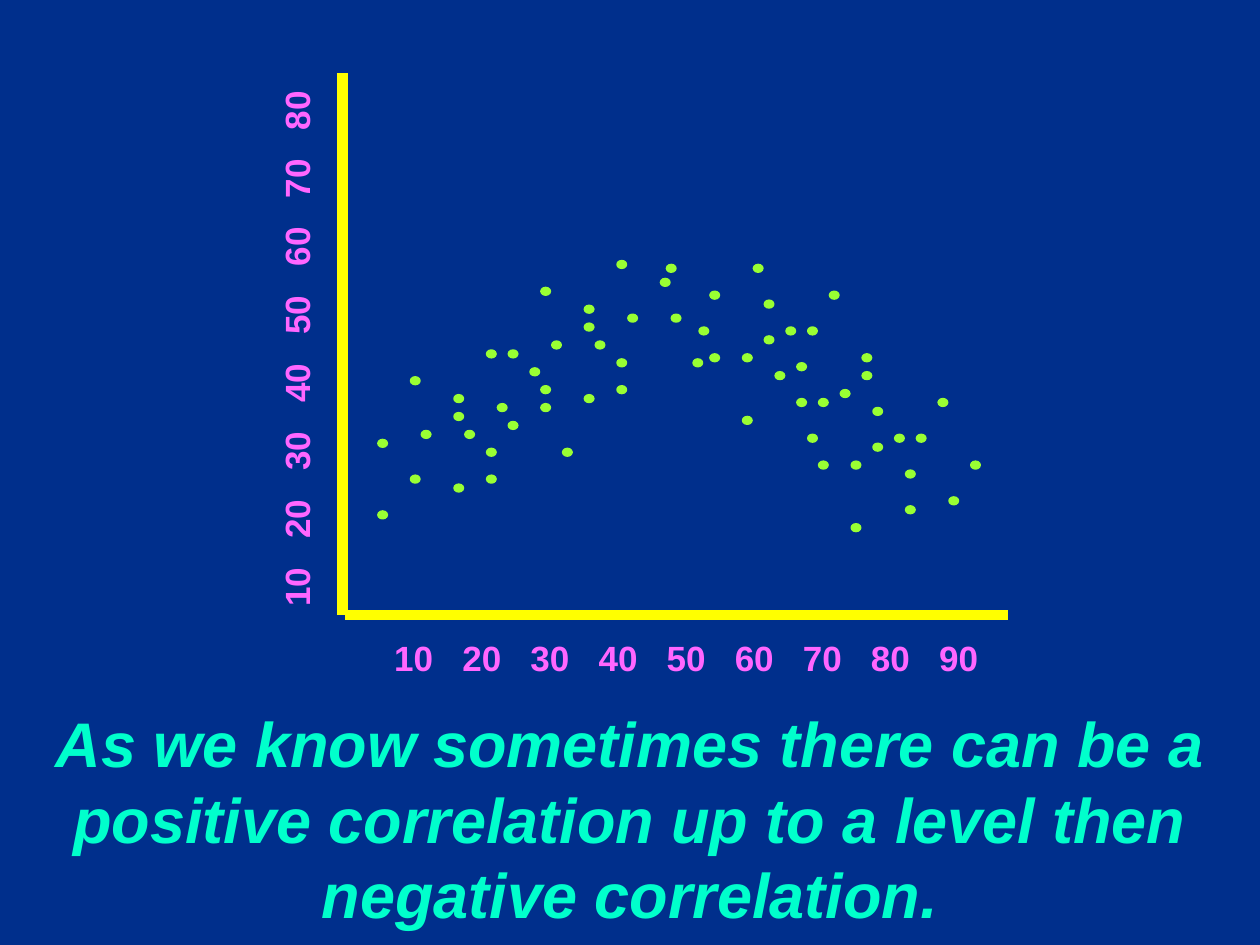
from dataclasses import dataclass

from lxml import etree
from pptx import Presentation
from pptx.dml.color import RGBColor
from pptx.enum.shapes import MSO_CONNECTOR, MSO_SHAPE
from pptx.enum.text import MSO_ANCHOR, MSO_AUTO_SIZE, PP_ALIGN
from pptx.oxml.ns import qn
from pptx.util import Pt

STRAIGHT = MSO_CONNECTOR.STRAIGHT
OVAL = MSO_SHAPE.OVAL
TOP = MSO_ANCHOR.TOP
NO_AUTOFIT = MSO_AUTO_SIZE.NONE
LEFT, CENTER = PP_ALIGN.LEFT, PP_ALIGN.CENTER
TITLE_ONLY = 5


@dataclass(frozen=True)
class Theme:
    font: str = "Arial"
    background: str = "002F8C"
    caption: str = "00FFCC"
    scale: str = "FF66FF"
    axis: str = "FFFF00"
    dot: str = "99FF33"
    caption_size: float = 36
    caption_leading: float = 43.2
    scale_size: float = 20
    axis_width: float = 6


@dataclass(frozen=True)
class Axis:
    start: tuple[float, float]
    end: tuple[float, float]


@dataclass(frozen=True)
class Scale:
    last: int
    box: tuple[float, float, float, float]
    rotation: float = 0


@dataclass(frozen=True)
class Cluster:
    """Dots as (column, row) steps from the cluster's top-left corner."""
    left: float
    top: float
    dots: tuple[tuple[int, int], ...]


THEME = Theme()
LABEL_PITCH = 38.92
COLUMN, ROW = 6.21, 5.11
DOT_WIDTH, DOT_HEIGHT = 5.3, 4.3

CAPTION = ("As we know sometimes there can be a positive correlation "
           "up to a level then negative correlation.")
AXES = (
    Axis((197.3, 351.4), (576, 351.4)),
    Axis((195.8, 351.4), (195.8, 41.8)),
)
SCALES = (
    Scale(90, (218.2, 360, 348.5, 31)),
    Scale(80, (14.4, 183.6, 309.6, 31), rotation=270),
)
RISING = Cluster(216, 149, (
    (0, 20), (0, 28), (3, 13), (3, 24), (4, 19), (7, 15), (7, 17), (7, 25),
    (8, 19), (10, 10), (10, 21), (10, 24), (11, 16), (12, 10), (12, 18),
    (14, 12), (15, 3), (15, 14), (15, 16), (16, 9), (17, 21), (19, 5),
    (19, 7), (19, 15), (20, 9), (22, 0), (22, 11), (22, 14), (23, 6),
    (26, 2), (27, 6), (29, 11),
))
FALLING = Cluster(380.9, 151.2, (
    (0, 0), (3, 7), (4, 3), (4, 10), (7, 10), (7, 17), (8, 0), (9, 4),
    (9, 8), (10, 12), (11, 7), (12, 11), (12, 15), (13, 7), (13, 19),
    (14, 15), (14, 22), (15, 3), (16, 14), (17, 22), (17, 29), (18, 10),
    (18, 12), (19, 16), (19, 20), (21, 19), (22, 23), (22, 27), (23, 19),
    (25, 15), (26, 26), (28, 22),
))


def rgb(value: str) -> RGBColor:
    return RGBColor.from_string(value)


def write(sp, text: str, *, size: float, color: str, italic: bool = False,
          align=LEFT, wrap: bool = True, leading: float | None = None,
          margin_top: float = 3.6, tabs: tuple[float, ...] = ()) -> None:
    tf = sp.text_frame
    tf.auto_size = NO_AUTOFIT
    tf.word_wrap = wrap
    tf.vertical_anchor = TOP
    tf.margin_left = tf.margin_right = Pt(7.2)
    tf.margin_top, tf.margin_bottom = Pt(margin_top), Pt(3.6)
    p = tf.paragraphs[0]
    p.alignment = align
    p.space_before = Pt(0)
    if leading:
        p.line_spacing = Pt(leading)
    if tabs:
        tab_list = etree.SubElement(p._p.get_or_add_pPr(), qn("a:tabLst"))
        for position in tabs:
            etree.SubElement(tab_list, qn("a:tab"),
                             pos=str(int(Pt(position))), algn="l")
    r = p.add_run()
    r.text = text
    r.font.name = THEME.font
    r.font.size = Pt(size)
    r.font.bold = True
    r.font.italic = italic
    r.font.color.rgb = rgb(color)


def add_caption(s) -> None:
    sp = s.shapes.title
    sp.left, sp.top, sp.width, sp.height = Pt(0), Pt(396.7), Pt(720), Pt(136.8)
    write(sp, CAPTION, size=THEME.caption_size, color=THEME.caption,
          italic=True, align=CENTER, leading=THEME.caption_leading,
          margin_top=5.8)


def add_axis(s, axis: Axis) -> None:
    line = s.shapes.add_connector(STRAIGHT, *map(Pt, axis.start + axis.end))
    line.line.color.rgb = rgb(THEME.axis)
    line.line.width = Pt(THEME.axis_width)
    etree.SubElement(line._element.spPr, qn("a:effectLst"))


def add_scale(s, scale: Scale) -> None:
    labels = [str(n) for n in range(10, scale.last + 1, 10)]
    tabs = tuple(LABEL_PITCH * i for i in range(1, len(labels)))
    sp = s.shapes.add_textbox(*map(Pt, scale.box))
    sp.rotation = scale.rotation
    write(sp, "\t".join(labels), size=THEME.scale_size, color=THEME.scale,
          wrap=False, tabs=tabs)


def add_cluster(s, cluster: Cluster) -> None:
    for column, row in cluster.dots:
        sp = s.shapes.add_shape(
            OVAL, Pt(cluster.left + column * COLUMN),
            Pt(cluster.top + row * ROW), Pt(DOT_WIDTH), Pt(DOT_HEIGHT))
        sp.shadow.inherit = False
        sp.fill.solid()
        sp.fill.fore_color.rgb = rgb(THEME.dot)
        sp.line.color.rgb = rgb(THEME.dot)
        sp.line.width = Pt(1)


def main() -> None:
    prs = Presentation()
    prs.slide_width, prs.slide_height = Pt(720), Pt(540)
    s = prs.slides.add_slide(prs.slide_layouts[TITLE_ONLY])
    s.background.fill.solid()
    s.background.fill.fore_color.rgb = rgb(THEME.background)
    add_caption(s)
    for scale in SCALES:
        add_scale(s, scale)
    for cluster in (RISING, FALLING):
        add_cluster(s, cluster)
    for axis in AXES:
        add_axis(s, axis)
    prs.save("out.pptx")


if __name__ == "__main__":
    main()
